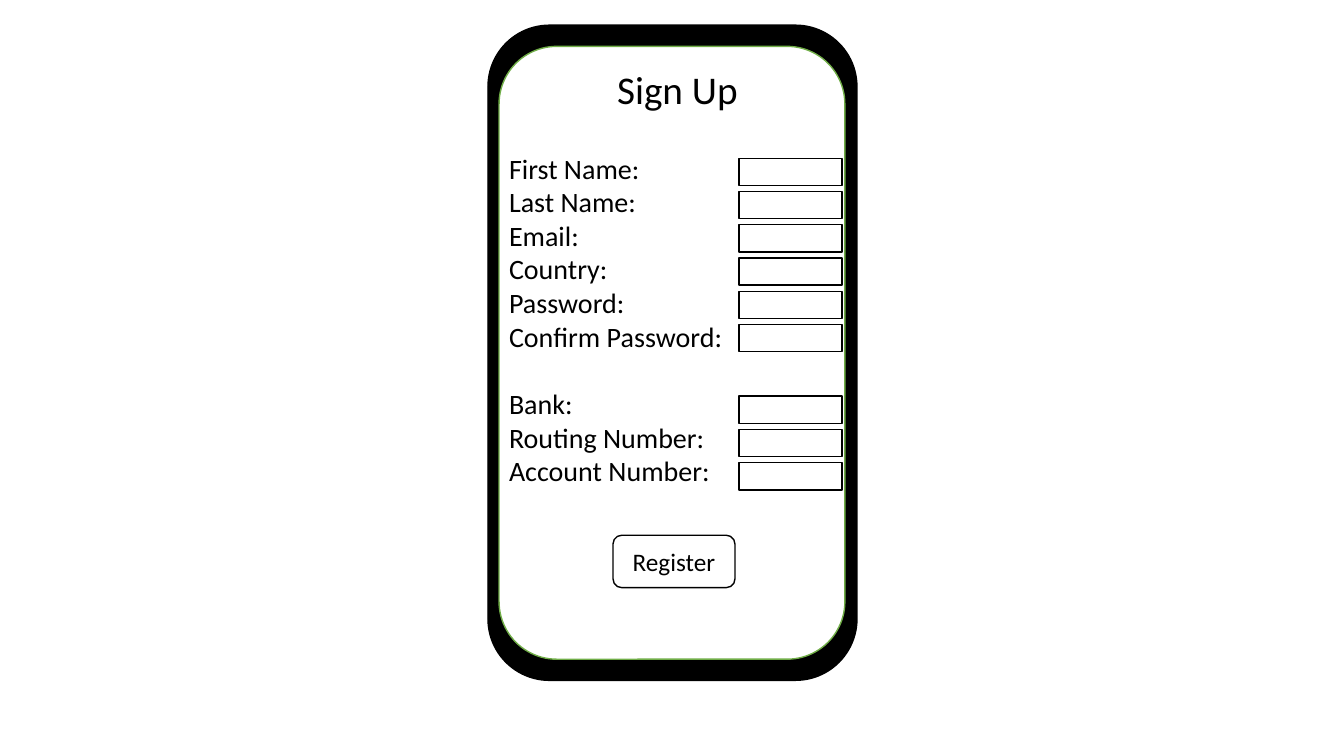
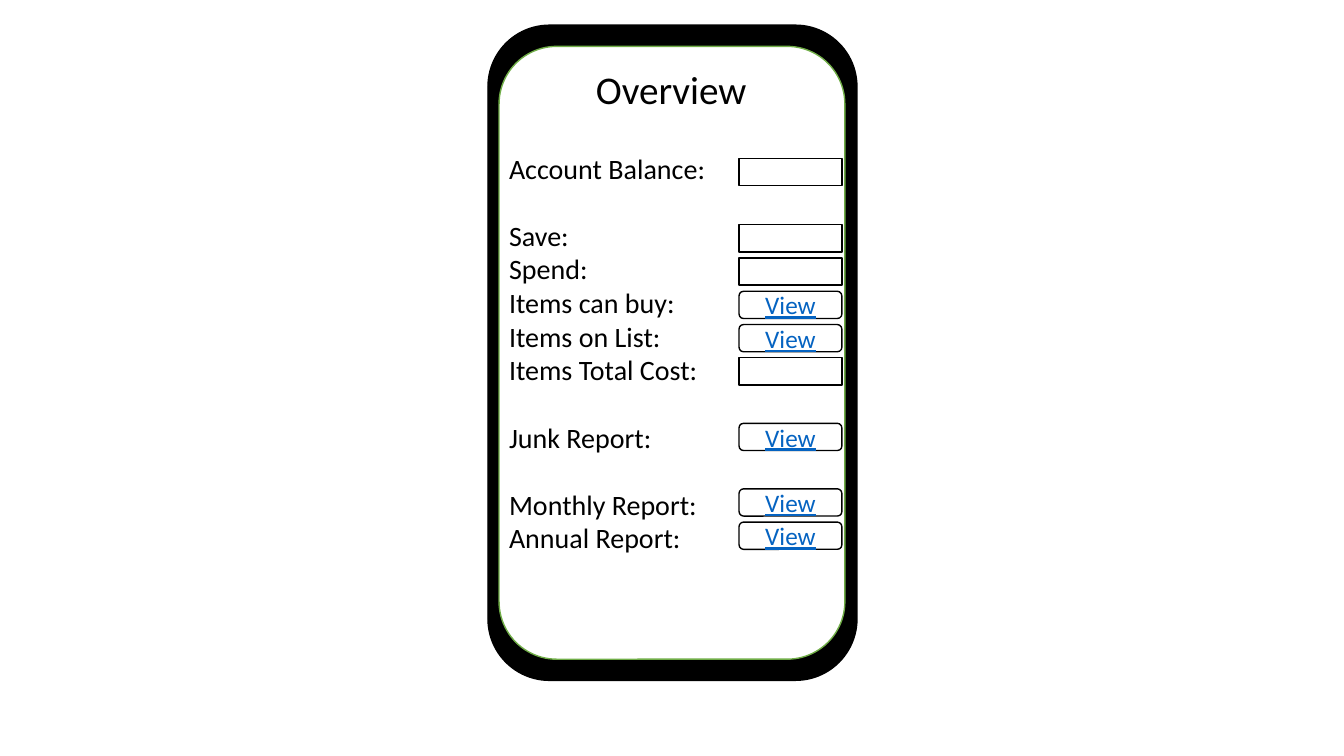
from pptx import Presentation
from pptx.dml.color import RGBColor
from pptx.enum.shapes import MSO_SHAPE
from pptx.enum.text import MSO_ANCHOR, MSO_AUTO_SIZE, PP_ALIGN
from pptx.util import Inches, Pt

COLORS = {"black": "000000", "white": "FFFFFF", "green": "70AD47", "link": "0563C1"}
FONT = "Calibri"
TITLE_ONLY = 5
ROW_PITCH = 0.33
GROUP_GAP = Pt(24)
FIELD_LEFT, FIELD_WIDTH, FIELD_HEIGHT = 7.33, 1.02, 0.27


def rgb(name):
    """Return the named colour."""
    return RGBColor.from_string(COLORS[name])


def apply(target, **values):
    """Set each given attribute on the target."""
    for name, value in values.items():
        setattr(target, name, value)


class PhoneDeck:
    """Holds the shared style and the current slide."""

    def __init__(self):
        """Start a widescreen presentation."""
        self.prs = Presentation()
        apply(self.prs, slide_width=Inches(13.33), slide_height=Inches(7.5))
        self.s = None

    def add_text(self, p, text, size, color="black", **font):
        """Add a formatted run to a paragraph."""
        r = p.add_run()
        r.text = text
        apply(r.font, name=FONT, size=Pt(size), **font)
        r.font.color.rgb = rgb(color)

    def shape(self, kind, left, top, width, height, fill="white", line="black"):
        """Add a filled, outlined preset shape."""
        sp = self.s.shapes.add_shape(
            kind, Inches(left), Inches(top), Inches(width), Inches(height))
        sp.shadow.inherit = False
        sp.fill.solid()
        sp.fill.fore_color.rgb = rgb(fill)
        sp.line.color.rgb = rgb(line)
        sp.line.width = Pt(1)
        return sp

    def button(self, text, left, top, width, height, **font):
        """Add a rounded button with a centred caption."""
        sp = self.shape(MSO_SHAPE.ROUNDED_RECTANGLE, left, top, width, height)
        tf = sp.text_frame
        apply(tf, margin_top=0, margin_bottom=0, vertical_anchor=MSO_ANCHOR.MIDDLE)
        p = tf.paragraphs[0]
        p.alignment = PP_ALIGN.CENTER
        self.add_text(p, text, 18, **font)

    def title(self, text, left):
        """Place the title placeholder in front of the phone."""
        sp = self.s.shapes.title
        apply(sp, left=Inches(left), top=Inches(0.6),
              width=Inches(1.74), height=Inches(0.57))
        tf = sp.text_frame
        apply(tf, word_wrap=True, auto_size=MSO_AUTO_SIZE.NONE,
              vertical_anchor=MSO_ANCHOR.TOP)
        p = tf.paragraphs[0]
        p.alignment = PP_ALIGN.LEFT
        self.add_text(p, text, 28)
        self.s.shapes._spTree.append(sp._element)

    def screen(self, title, title_left):
        """Start a slide with the phone frame and its title."""
        self.s = self.prs.slides.add_slide(self.prs.slide_layouts[TITLE_ONLY])
        rounded = MSO_SHAPE.ROUNDED_RECTANGLE
        self.shape(rounded, 4.84, 0.25, 3.66, 6.5, fill="black")
        self.shape(rounded, 4.95, 0.46, 3.43, 6.08, line="green")
        self.title(title, title_left)

    def labels(self, groups, height):
        """List the row labels, with a gap before each later group."""
        box = self.s.shapes.add_textbox(
            Inches(4.95), Inches(1.45), Inches(2.38), Inches(height))
        tf = box.text_frame
        tf.word_wrap = True
        p = tf.paragraphs[0]
        for g, (_, rows) in enumerate(groups):
            for i, (label, _) in enumerate(rows):
                if g or i:
                    p = tf.add_paragraph()
                if g and i == 0:
                    p.space_before = GROUP_GAP
                self.add_text(p, label, 20)

    def form(self, groups, height):
        """Add labels and, beside each, an empty field or a button."""
        self.labels(groups, height)
        for top, rows in groups:
            for i, (_, caption) in enumerate(rows):
                place = (FIELD_LEFT, top + i * ROW_PITCH, FIELD_WIDTH, FIELD_HEIGHT)
                if caption:
                    self.button(caption, *place, color="link", underline=True)
                else:
                    self.shape(MSO_SHAPE.RECTANGLE, *place)


# Each group: top of its first field, then rows of label and button caption.
SIGN_UP = [
    (1.57, [("First Name:", None), ("Last Name:", None), ("Email:", None),
            ("Country:", None), ("Password:", None), ("Confirm Password:", None)]),
    (3.93, [("Bank:", None), ("Routing Number:", None), ("Account Number:", None)]),
]
OVERVIEW = [
    (1.57, [("Account Balance:", None)]),
    (2.23, [("Save:", None), ("Spend:", None), ("Items can buy:", "View"),
            ("Items on List:", "View"), ("Items Total Cost:", None)]),
    (4.2, [("Junk Report:", "View")]),
    (4.85, [("Monthly Report:", "View"), ("Annual Report:", "View")]),
]

deck = PhoneDeck()

deck.screen("Sign Up", 6.02)
deck.form(SIGN_UP, 3.47)
deck.button("Register", 6.08, 5.31, 1.21, 0.52)

deck.screen("Overview", 5.81)
deck.form(OVERVIEW, 4.14)

deck.prs.save("out.pptx")
